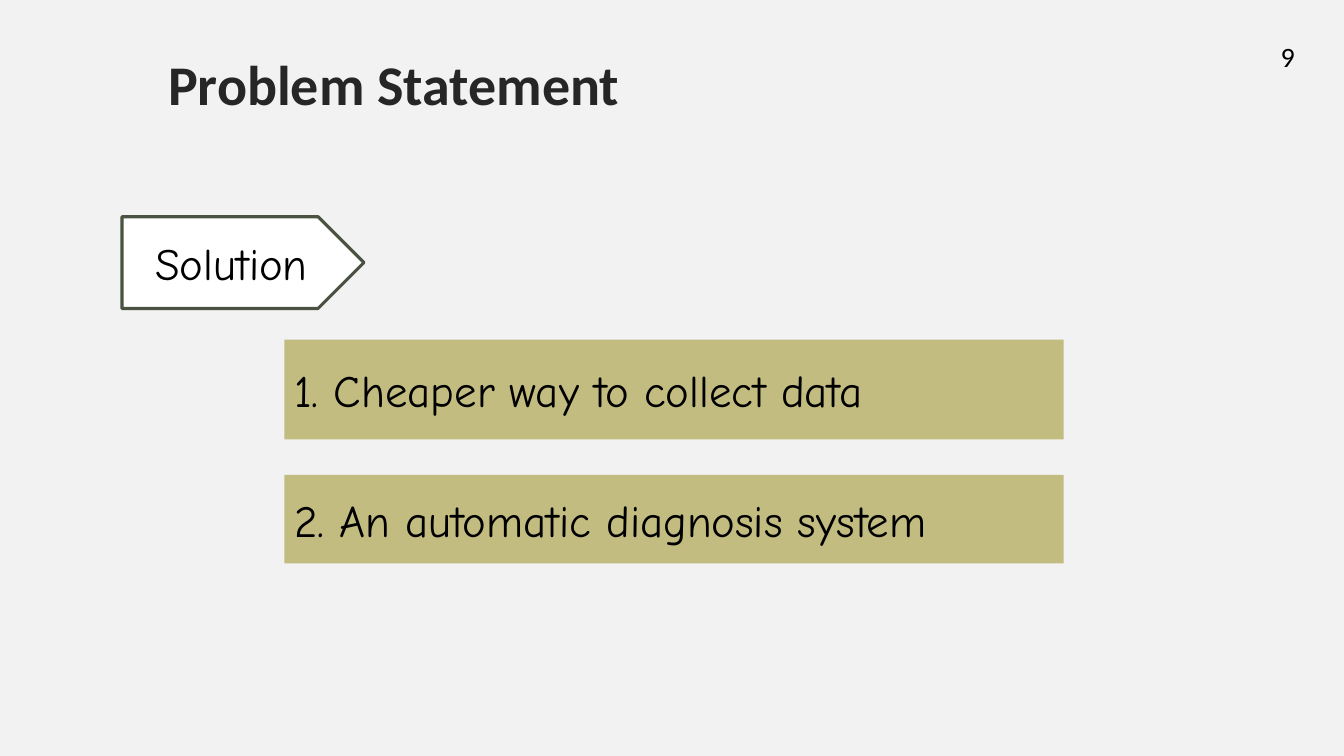
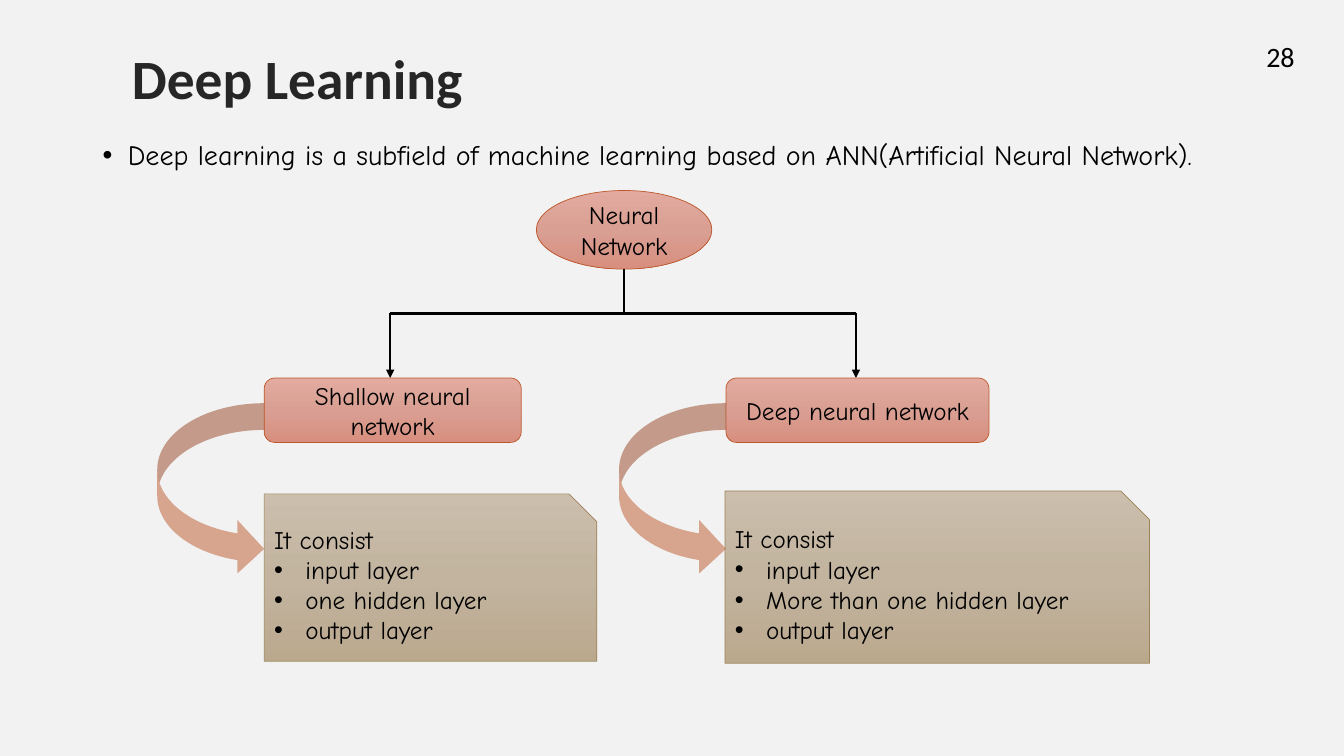
from copy import deepcopy

from lxml import etree
from pptx import Presentation
from pptx.dml.color import RGBColor
from pptx.enum import shapes, text
from pptx.oxml import ns
from pptx.util import Inches, Pt

# Shared colours and fonts
BACKGROUND = RGBColor(0xF2, 0xF2, 0xF2)
TITLE_INK = RGBColor(0x26, 0x26, 0x26)
BLACK = RGBColor(0, 0, 0)
WHITE = RGBColor(0xFF, 0xFF, 0xFF)
OLIVE = RGBColor(0x4A, 0x52, 0x42)
KHAKI = RGBColor(0xC2, 0xBC, 0x80)
RUST = RGBColor(0xBD, 0x58, 0x2C)
BROWN = RGBColor(0x9B, 0x83, 0x57)
ROSE = [RGBColor.from_string(code) for code in ("E3ABA0", "D99F93", "D88F7F")]
SAND = [RGBColor.from_string(code) for code in ("CBBEAC", "C2B49F", "BBA98E")]
HEAD_FONT, BODY_FONT = "Calibri", "Comic Neue"

SHAPE, ALIGN = shapes.MSO_SHAPE, text.PP_ALIGN
MIDDLE, TOP = text.MSO_ANCHOR.MIDDLE, text.MSO_ANCHOR.TOP


def inches(*lengths):
    return [Inches(length) for length in lengths]


def add_child(parent, tag, **attributes):
    return etree.SubElement(parent, ns.qn(tag), attributes)


def write(shape, lines, size, font=BODY_FONT, color=BLACK, bold=False,
          align=ALIGN.LEFT, anchor=MIDDLE, spacing=None, bullets_from=None, indent=0.31):
    """Fill a shape with paragraphs; those from bullets_from on get bullets."""
    frame = shape.text_frame
    frame.word_wrap = True
    frame.vertical_anchor = anchor
    for index, line in enumerate(lines):
        para = frame.add_paragraph() if index else frame.paragraphs[0]
        para.text = line
        para.alignment = align
        if spacing:
            para.line_spacing = spacing
        if bullets_from is not None and index >= bullets_from:
            props = para._p.get_or_add_pPr()
            props.set("marL", str(Inches(indent)))
            props.set("indent", str(-Inches(indent)))
            add_child(props, "a:buFont", typeface="Arial")
            add_child(props, "a:buChar", char="•")
        para.font.name, para.font.size = font, Pt(size)
        para.font.bold = bold
        para.font.color.rgb = color


def add_label(page, box, lines, size, **style):
    write(page.shapes.add_textbox(*inches(*box)), lines, size, **style)


def add_block(page, kind, box, fill, line=None, width=0.5):
    """Add a preset shape with a plain colour or a list of gradient colours."""
    shape = page.shapes.add_shape(kind, *inches(*box))
    shape.shadow.inherit = False
    if isinstance(fill, list):
        shape.fill.gradient()
        shape.fill.gradient_angle = 270
        stops = shape.element.spPr.find(".//" + ns.qn("a:gsLst"))
        stops.append(deepcopy(stops[0]))
        for index, stop in enumerate(shape.fill.gradient_stops):
            stop.position = index / 2
            stop.color.rgb = fill[index]
    else:
        shape.fill.solid()
        shape.fill.fore_color.rgb = fill
    if line is None:
        shape.line.fill.background()
    else:
        shape.line.color.rgb = line
        shape.line.width = Pt(width)
    return shape


def add_line(page, start, end, arrow=False):
    line = page.shapes.add_connector(shapes.MSO_CONNECTOR.STRAIGHT, *inches(*start, *end))
    line.line.color.rgb = BLACK
    line.line.width = Pt(1.5)
    if arrow:
        add_child(line.line._get_or_add_ln(), "a:tailEnd", type="triangle")
    add_child(line._element.spPr, "a:effectLst")


def new_page(deck, number, title, title_box, title_size):
    """Add a page with its background, page number and title."""
    page = deck.slides.add_slide(deck.slide_layouts[6])
    page.background.fill.solid()
    page.background.fill.fore_color.rgb = BACKGROUND
    add_label(page, (12.4, 0.34, 0.54, 0.4), [number], 20, font=HEAD_FONT,
              align=ALIGN.RIGHT, anchor=TOP)
    add_label(page, title_box, [title], title_size, font=HEAD_FONT,
              color=TITLE_INK, bold=True, spacing=0.9)
    return page


def add_node(page, kind, box, caption):
    write(add_block(page, kind, box, ROSE, RUST), [caption], 18, align=ALIGN.CENTER)


def add_branch(page, node_box, note_box, caption, layers):
    """Add one kind of network: node, note below it and curved arrow between."""
    add_node(page, SHAPE.ROUNDED_RECTANGLE, node_box, caption)
    note = add_block(page, SHAPE.SNIP_1_RECTANGLE, note_box, SAND, BROWN)
    write(note, ["It consist"] + layers, 18, bullets_from=1)
    left, top = node_box[:2]
    arrow = add_block(page, SHAPE.CURVED_RIGHT_ARROW,
                      (left - 1.06, top + 0.25, 1.06, 1.71), RUST)
    color = arrow.element.spPr.find(ns.qn("a:solidFill"))[0]
    add_child(color, "a:alpha", val="50000")


def add_fork(page, stem_x, stem_top, bar_y, tips, tip_y):
    """Draw a stem, a crossbar and one arrow down to each tip."""
    add_line(page, (stem_x, stem_top), (stem_x, bar_y))
    add_line(page, (tips[0], bar_y), (tips[-1], bar_y))
    for tip_x in tips:
        add_line(page, (tip_x, bar_y), (tip_x, tip_y), arrow=True)


def build_problem(deck):
    page = new_page(deck, "9", "Problem Statement", (1.57, 0.49, 8.87, 0.76), 40)
    tag = add_block(page, SHAPE.PENTAGON, (1.21, 2.15, 2.4, 0.91), WHITE, OLIVE, 2.25)
    write(tag, ["Solution"], 32, align=ALIGN.CENTER)
    # Solution bars
    for top, height, caption in (
            (3.37, 0.99, "1. Cheaper way to collect data"),
            (4.71, 0.88, "2. An automatic diagnosis system")):
        bar = add_block(page, SHAPE.RECTANGLE, (2.82, top, 7.73, height), KHAKI)
        write(bar, [caption], 32)


def build_learning(deck):
    page = new_page(deck, "28", "Deep Learning", (1.21, 0.46, 6.53, 0.7), 39.6)
    add_label(page, (0.92, 1.35, 11.5, 0.42),
              ["Deep learning is a subfield of machine learning based on "
               "ANN(Artificial Neural Network)."],
              20, anchor=TOP, spacing=0.9, bullets_from=0, indent=0.25)
    # Network tree
    add_node(page, SHAPE.OVAL, (5.32, 1.89, 1.74, 0.78), "Neural Network")
    add_fork(page, 6.19, 2.67, 3.11, (3.87, 8.49), 3.75)
    add_branch(page, (2.62, 3.75, 2.55, 0.64), (2.62, 4.9, 3.3, 1.66),
               "Shallow neural network",
               ["input layer", "one hidden layer", "output layer"])
    add_branch(page, (7.2, 3.75, 2.61, 0.64), (7.19, 4.87, 4.21, 1.71),
               "Deep neural network",
               ["input layer", "More than one hidden layer", "output layer"])


def main():
    deck = Presentation()
    deck.slide_width, deck.slide_height = inches(13.33, 7.5)
    build_problem(deck)
    build_learning(deck)
    deck.save("out.pptx")


if __name__ == "__main__":
    main()
